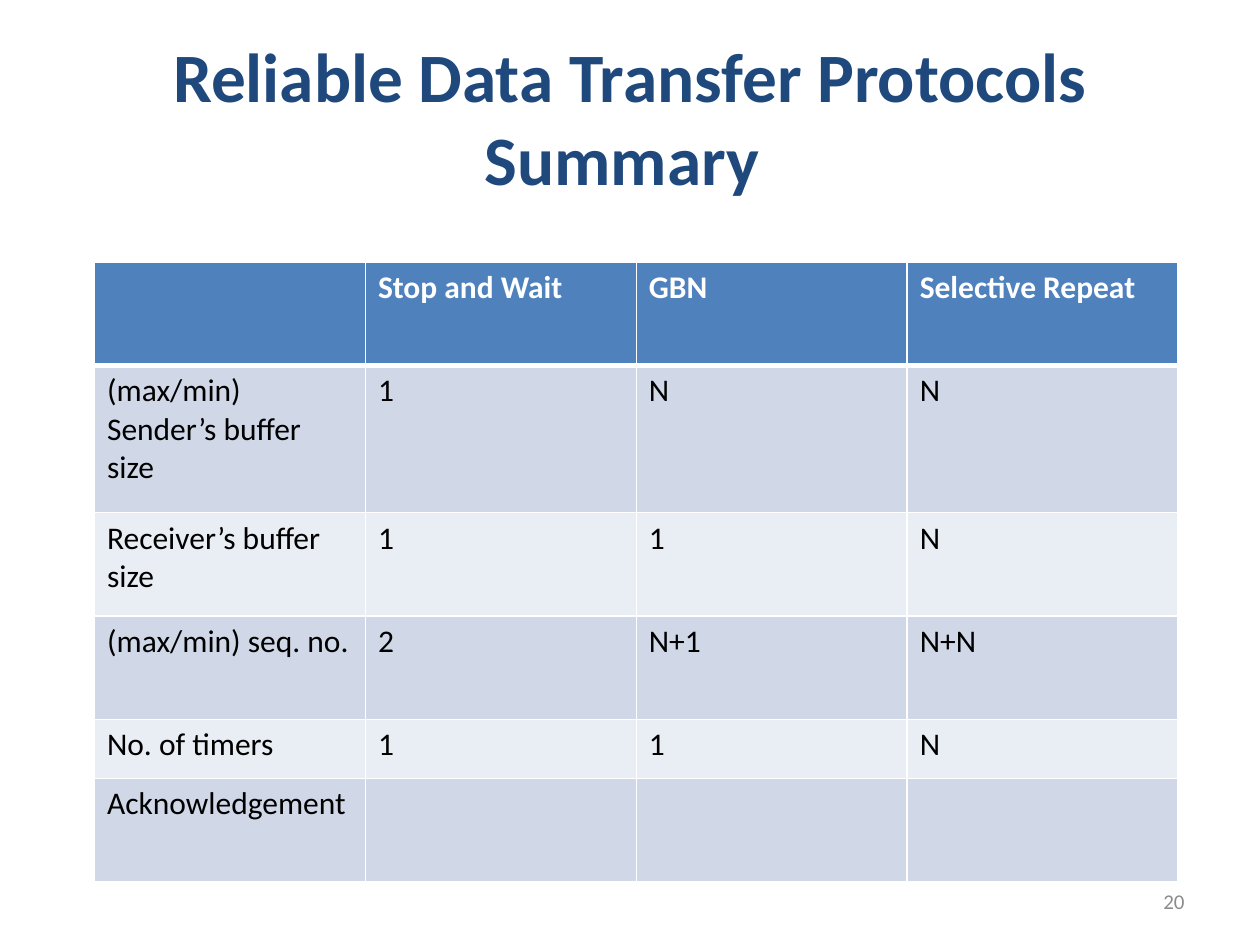
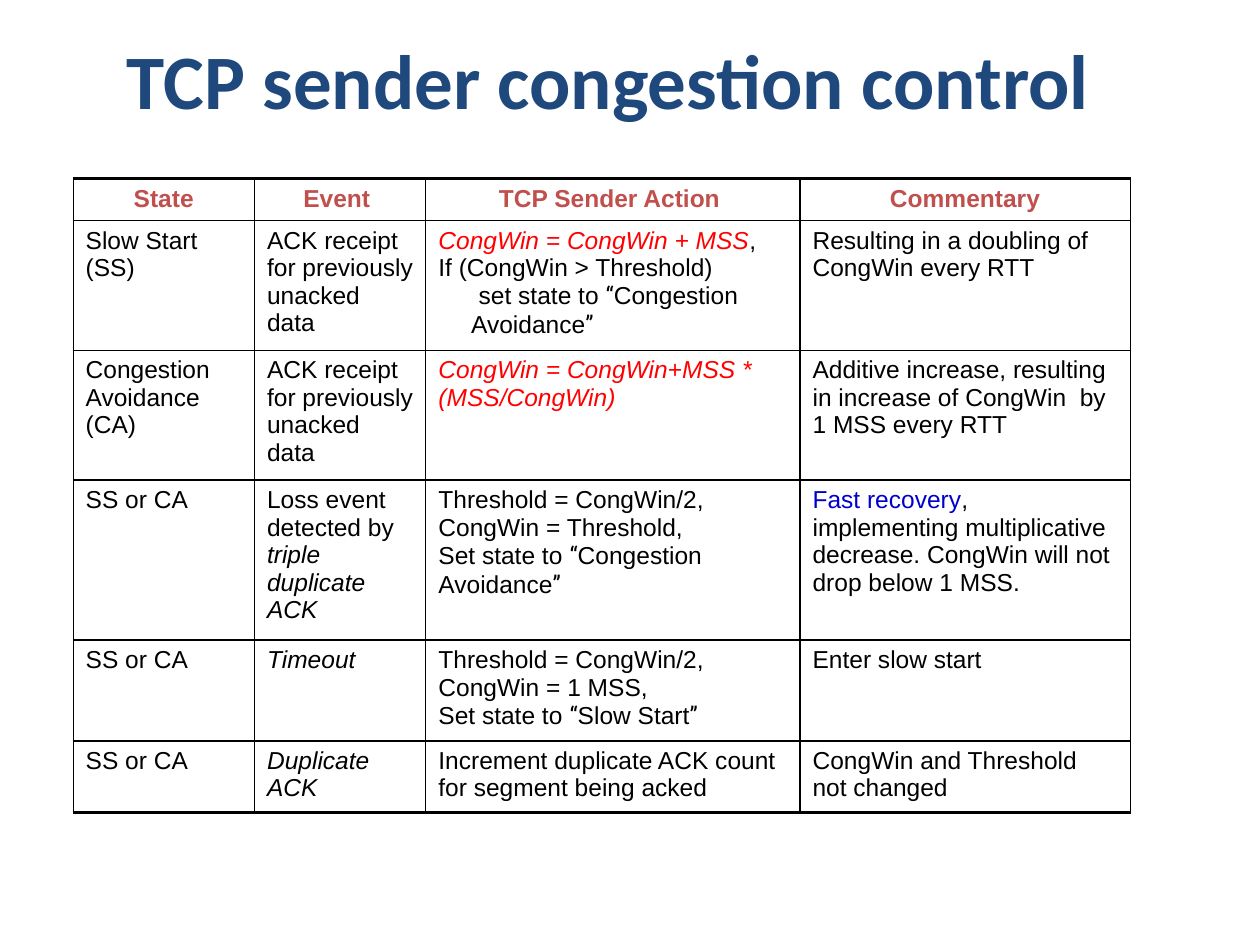
"""Build two slides on reliable transfer protocols and TCP congestion control."""
from itertools import groupby

from lxml import etree
from pptx import Presentation
from pptx import util as u
from pptx.dml.color import RGBColor
from pptx.enum import text
from pptx.oxml.ns import qn

NAVY, BLUE, BAND_DARK, BAND_LIGHT = "1F497D", "4F81BD", "D0D8E8", "E9EDF4"
WHITE, BLACK, GRAY = "FFFFFF", "000000", "8C8C8C"
HEADING_RED, FORMULA_RED, LINK_BLUE = "C0504D", "FF0000", "0000CC"
BODY_FONT, TABLE_FONT, QUOTE_FONT = "Calibri", "Arial", "Roboto Condensed"

FORMULA = {"color": FORMULA_RED, "italic": True}
ITALIC = {"italic": True}
ACK_RECEIPT = "ACK receipt for previously unacked data"
HALVE_THRESHOLD = "Threshold = CongWin/2,"

PROTOCOL_ROWS = [
    ["", "Stop and Wait", "GBN", "Selective Repeat"],
    ["(max/min) Sender’s buffer size", "1", "N", "N"],
    ["Receiver’s buffer size", "1", "1", "N"],
    ["(max/min) seq. no.", "2", "N+1", "N+N"],
    ["No. of timers", "1", "1", "N"],
    ["Acknowledgement", "", "", ""],
]

# Each cell is a list of paragraphs, and each paragraph a list of (text, style) pieces.
CONGESTION_HEADINGS = ["State", "Event ", "TCP Sender Action ", "Commentary"]
CONGESTION_ROWS = [
    ["Slow Start (SS)", ACK_RECEIPT,
     [[("CongWin = CongWin + MSS", FORMULA), (",", {})],
      "If (CongWin > Threshold)",
      "set state to “Congestion Avoidance”"],
     "Resulting in a doubling of CongWin every RTT"],
    [["Congestion", "Avoidance (CA)"], ACK_RECEIPT,
     [[("CongWin = CongWin+MSS * (MSS/CongWin)", FORMULA)]],
     "Additive increase, resulting in increase of CongWin  by 1 MSS every RTT"],
    ["SS or CA",
     [[("Loss event detected by ", {}), ("triple duplicate ACK", ITALIC)]],
     [HALVE_THRESHOLD, "CongWin = Threshold,", "Set state to “Congestion Avoidance”"],
     [[("Fast recovery", {"color": LINK_BLUE}),
       (", implementing multiplicative decrease. CongWin will not drop below 1 MSS.", {})]]],
    ["SS or CA", [[("Timeout", ITALIC)]],
     [HALVE_THRESHOLD, "CongWin = 1 MSS,", "Set state to “Slow Start”"],
     "Enter slow start"],
    ["SS or CA", [[("Duplicate ACK", ITALIC)]],
     "Increment duplicate ACK count for segment being acked",
     "CongWin and Threshold not changed"],
]


def rgb(value):
    """Turn a hex string into a colour."""
    return RGBColor.from_string(value)


def style_font(font, name, size, color, bold=False, italic=False):
    """Set the look of a font."""
    font.name, font.size = name, u.Pt(size)
    font.bold, font.italic = bold, italic
    font.color.rgb = rgb(color)


def add_titled_slide(presentation, title, box, size):
    """Add a title-only slide and format its title."""
    slide = presentation.slides.add_slide(presentation.slide_layouts[5])
    shape = slide.shapes.title
    shape.left, shape.top, shape.width, shape.height = map(u.Inches, box)
    frame = shape.text_frame
    frame.text = title
    frame.auto_size = text.MSO_AUTO_SIZE.NONE
    frame.vertical_anchor = text.MSO_ANCHOR.MIDDLE
    paragraph = frame.paragraphs[0]
    paragraph.alignment = text.PP_ALIGN.CENTER
    style_font(paragraph.runs[0].font, BODY_FONT, size, NAVY, bold=True)
    return slide


def add_page_number(slide, number):
    """Add the page number at the lower right."""
    shape = slide.shapes.add_textbox(*map(u.Inches, (7.17, 6.95, 2.33, 0.4)))
    frame = shape.text_frame
    frame.word_wrap = True
    frame.vertical_anchor = text.MSO_ANCHOR.MIDDLE
    frame.text = number
    paragraph = frame.paragraphs[0]
    paragraph.alignment = text.PP_ALIGN.RIGHT
    style_font(paragraph.runs[0].font, BODY_FONT, 12, GRAY)


def add_grid(slide, left, top, widths, heights):
    """Add an empty table with the given column widths and row heights."""
    frame = slide.shapes.add_table(
        len(heights), len(widths), u.Inches(left), u.Inches(top),
        u.Inches(sum(widths)), u.Inches(sum(heights)))
    table = frame.table
    table.first_row = table.horz_banding = False
    for column, width in zip(table.columns, widths):
        column.width = u.Inches(width)
    for row, height in zip(table.rows, heights):
        row.height = u.Inches(height)
    return table


def set_borders(cell, color, side, top, bottom):
    """Draw the four borders of a cell, with widths in points."""
    properties = cell._tc.get_or_add_tcPr()
    widths = {"a:lnL": side, "a:lnR": side, "a:lnT": top, "a:lnB": bottom}
    for position, (tag, width) in enumerate(widths.items()):
        line = etree.Element(qn(tag), w=str(u.Pt(width)))
        fill = etree.SubElement(line, qn("a:solidFill"))
        etree.SubElement(fill, qn("a:srgbClr"), val=color)
        properties.insert(position, line)


def write_pieces(paragraph, pieces):
    """Write styled pieces, giving the curly quotes their own font."""
    for words, style in pieces:
        for is_quote, letters in groupby(words, lambda letter: letter in "“”"):
            run = paragraph.add_run()
            run.text = "".join(letters)
            name = QUOTE_FONT if is_quote else TABLE_FONT
            style_font(run.font, name, 14, **{"color": BLACK, **style})


def write_cell(cell, content, style=None):
    """Fill a cell from a string or from a list of paragraphs."""
    paragraphs = [content] if isinstance(content, str) else content
    frame = cell.text_frame
    for index, pieces in enumerate(paragraphs):
        paragraph = frame.add_paragraph() if index else frame.paragraphs[0]
        if isinstance(pieces, str):
            pieces = [(pieces, style or {})]
        write_pieces(paragraph, pieces)


def indent(paragraph, left, first):
    """Indent a paragraph, with a further indent on its first line."""
    properties = paragraph._p.get_or_add_pPr()
    properties.set("marL", str(u.Inches(left)))
    properties.set("indent", str(u.Inches(first)))


def add_protocol_table(slide):
    """Add the banded comparison of protocols."""
    table = add_grid(slide, 0.75, 2.08, [2.15] * 4, [0.82, 1.17, 0.82, 0.82, 0.47, 0.82])
    for row, values in enumerate(PROTOCOL_ROWS):
        is_header = row == 0
        band = BLUE if is_header else BAND_DARK if row % 2 else BAND_LIGHT
        for column, value in enumerate(values):
            cell = table.cell(row, column)
            cell.fill.solid()
            cell.fill.fore_color.rgb = rgb(band)
            set_borders(cell, WHITE, 1, 3 if row == 1 else 1, 3 if is_header else 1)
            cell.text_frame.text = value
            for run in cell.text_frame.paragraphs[0].runs:
                style_font(run.font, BODY_FONT, 18, WHITE if is_header else BLACK, is_header)


def add_congestion_table(slide):
    """Add the ruled table of sender states and actions."""
    table = add_grid(slide, 0.58, 1.42, [1.44, 1.36, 2.97, 2.62],
                     [0.33, 1.03, 1.03, 1.27, 0.8, 0.57])
    heading = {"color": HEADING_RED, "bold": True}
    last = len(CONGESTION_ROWS)
    for row, values in enumerate([CONGESTION_HEADINGS] + CONGESTION_ROWS):
        for column, content in enumerate(values):
            cell = table.cell(row, column)
            cell.fill.background()
            set_borders(cell, BLACK, 0.75, 2 if row == 0 else 1, 2 if row == last else 1)
            write_cell(cell, content, heading if row == 0 else None)
            if row == 0:
                cell.text_frame.paragraphs[0].alignment = text.PP_ALIGN.CENTER
    indent(table.cell(1, 2).text_frame.paragraphs[-1], 0.26, 0.06)


def main():
    """Build and save the presentation."""
    presentation = Presentation()
    presentation.slide_width, presentation.slide_height = u.Inches(10), u.Inches(7.5)

    summary = add_titled_slide(presentation, "Reliable Data Transfer Protocols Summary ",
                               (0.5, 0.3, 9, 1.25), 39.6)
    add_page_number(summary, "20")
    add_protocol_table(summary)

    congestion = add_titled_slide(presentation, "TCP sender congestion control",
                                  (0.58, 0, 8.5, 1.25), 44)
    add_congestion_table(congestion)

    presentation.save("out.pptx")


if __name__ == "__main__":
    main()
